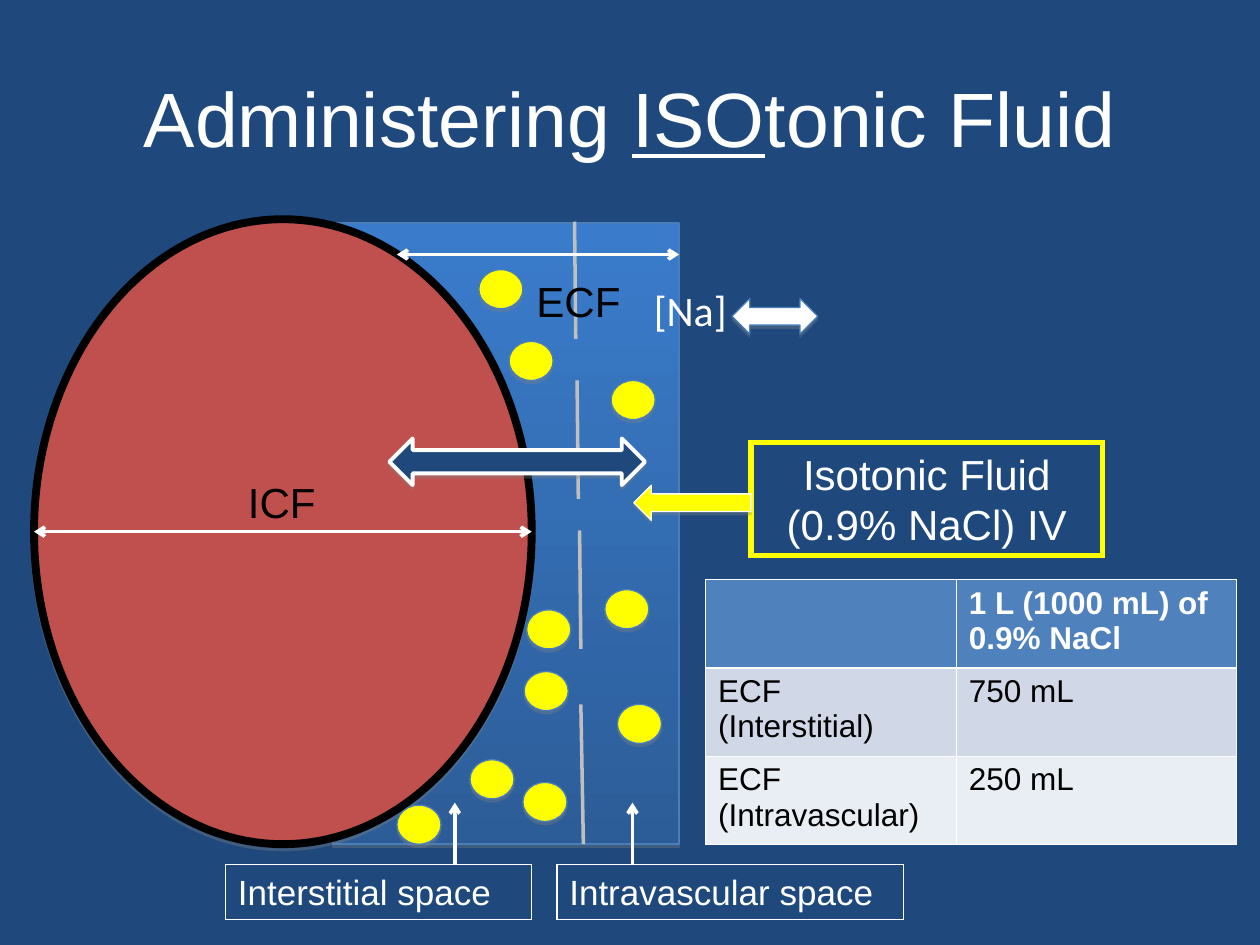
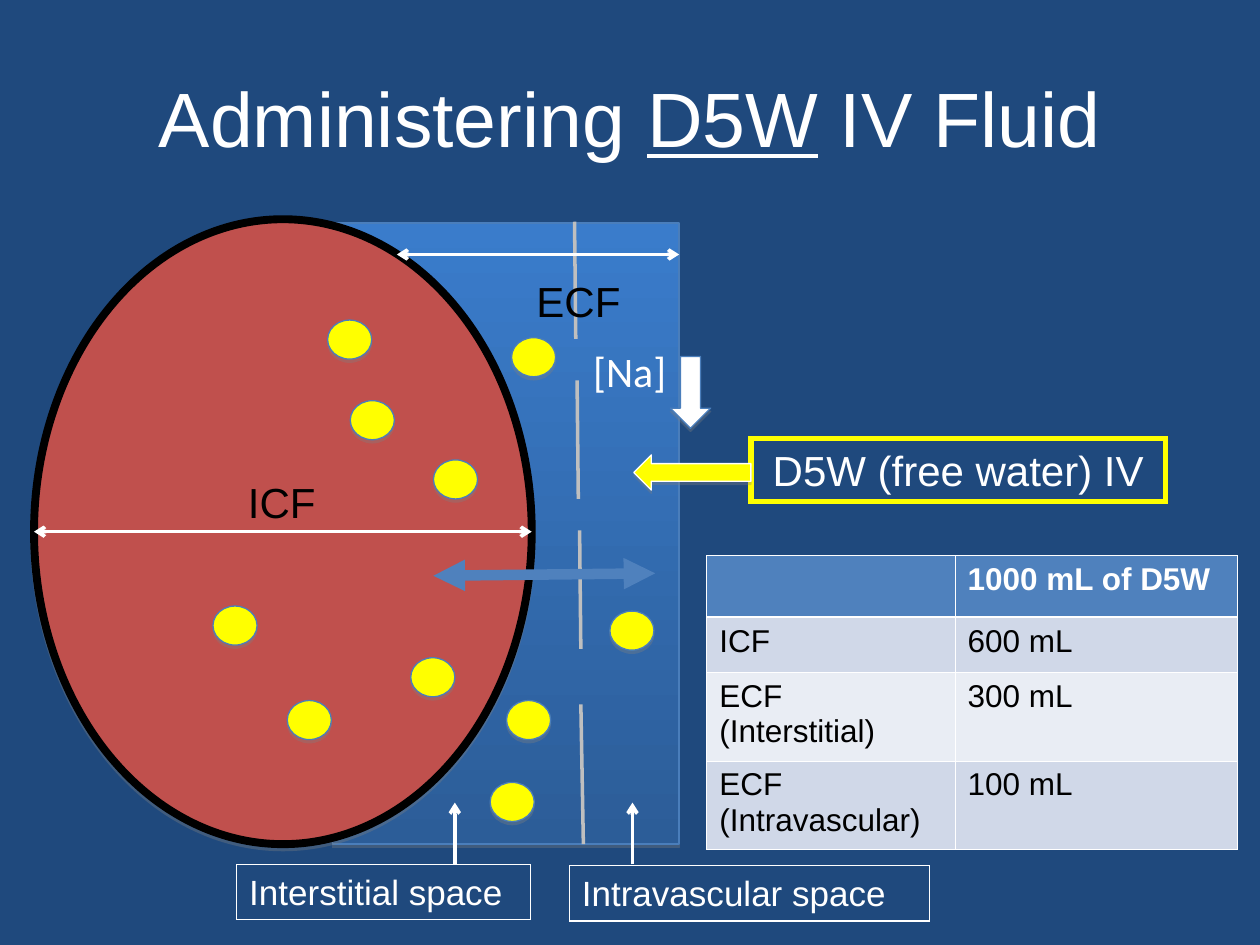
from lxml import etree
from pptx import Presentation
from pptx.dml.color import RGBColor
from pptx.enum import shapes, text
from pptx.oxml import ns
from pptx.util import Inches, Pt

NAVY = RGBColor(0x1F, 0x49, 0x7D)
WHITE = RGBColor(0xFF, 0xFF, 0xFF)
BLACK = RGBColor(0, 0, 0)
RED = RGBColor(0xC0, 0x50, 0x4D)
YELLOW = RGBColor(0xFF, 0xFF, 0)
GRAY = RGBColor(0xBF, 0xBF, 0xBF)
SHADE = RGBColor(0x80, 0x80, 0x80)
EDGE = RGBColor(0x4A, 0x7E, 0xBB)
BLUE = RGBColor(0x4F, 0x81, 0xBD)
TOP = RGBColor(0x3A, 0x7C, 0xCB)
BASE = RGBColor(0x2C, 0x5D, 0x98)
BANDS = RGBColor(0xD0, 0xD8, 0xE8), RGBColor(0xE9, 0xED, 0xF4)
SANS = "Arial"
KIND = shapes.MSO_SHAPE
LEFT, CENTER = text.PP_ALIGN.LEFT, text.PP_ALIGN.CENTER


def inches(*nums):
    return [Inches(n) for n in nums]


def sub(node, tag, **attrs):
    return etree.SubElement(node, ns.qn(tag), attrs)


def style(par, size, color, name=SANS, bold=False, align=LEFT):
    par.alignment = align
    font = par.font
    font.size, font.name, font.bold = Pt(size), name, bold
    font.color.rgb = color


def write(frame, words, size, color, name=SANS, align=LEFT):
    frame.text = words
    frame.word_wrap = True
    frame.vertical_anchor = text.MSO_ANCHOR.TOP
    for par in frame.paragraphs:
        style(par, size, color, name, align=align)


def add_title(slide, parts):
    title = slide.shapes.title
    title.left, title.top, title.width, title.height = inches(0.5, 0.3, 9, 1.25)
    title.text_frame.vertical_anchor = text.MSO_ANCHOR.MIDDLE
    par = title.text_frame.paragraphs[0]
    for i, part in enumerate(parts):
        run = par.add_run()
        run.text = part
        run.font.underline = i == 1
    style(par, 44, WHITE, align=CENTER)


def add_form(slide, kind, box, fill=None, edge=EDGE, width=0.75):
    form = slide.shapes.add_shape(kind, *inches(*box))
    form.line.color.rgb = edge
    form.line.width = Pt(width)
    form.shadow.inherit = False
    if fill is None:
        form.fill.background()
        return form
    form.fill.solid()
    form.fill.fore_color.rgb = fill
    effect = form._element.spPr.find(ns.qn("a:effectLst"))
    shadow = sub(effect, "a:outerShdw", blurRad="0", dist=str(Pt(1.8)),
                 dir="5400000", rotWithShape="0")
    color = sub(shadow, "a:srgbClr", val=str(SHADE))
    sub(color, "a:alpha", val="35000")
    return form


def add_note(slide, box, words, size, edge, width, align=LEFT):
    form = add_form(slide, KIND.RECTANGLE, box, edge=edge, width=width)
    sub(form.line._get_or_add_ln(), "a:miter", lim="800000")
    write(form.text_frame, words, size, WHITE, align=align)


def add_label(slide, box, words, color, name=SANS):
    frame = slide.shapes.add_textbox(*inches(*box)).text_frame
    write(frame, words, 24, color, name)


def add_line(slide, ends, color=WHITE, width=2, head=None, tail=None):
    line = slide.shapes.add_connector(shapes.MSO_CONNECTOR.STRAIGHT, *inches(*ends))
    line.line.color.rgb = color
    line.line.width = Pt(width)
    stroke = line.line._get_or_add_ln()
    for tag, tip in (("a:headEnd", head), ("a:tailEnd", tail)):
        if tip:
            sub(stroke, tag, type=tip)
    sub(line._element.spPr, "a:effectLst")


def add_dots(slide, spots):
    for x, y in spots:
        add_form(slide, KIND.OVAL, (x, y, 0.35, 0.31), YELLOW)


def add_rules(cell, row):
    props = cell._tc.get_or_add_tcPr()
    thick = {(0, "B"), (1, "T")}
    for side in "LRTB":
        width = 1.47 if (row, side) in thick else 0.45
        rule = sub(props, f"a:ln{side}", w=str(Pt(width)))
        sub(sub(rule, "a:solidFill"), "a:srgbClr", val=str(WHITE))


def add_grid(slide, left, top, cols, highs, rows):
    box = inches(left, top, sum(cols), sum(highs))
    grid = slide.shapes.add_table(len(rows), len(cols), *box).table
    for col, width in zip(grid.columns, cols):
        col.width = Inches(width)
    for r, row in enumerate(rows):
        grid.rows[r].height = Inches(highs[r])
        for c, words in enumerate(row):
            cell = grid.cell(r, c)
            add_rules(cell, r)
            cell.fill.solid()
            cell.fill.fore_color.rgb = BANDS[(r - 1) % 2] if r else BLUE
            cell.text = words
            for par in cell.text_frame.paragraphs:
                style(par, 18, BLACK if r else WHITE, bold=r == 0)


def add_cell(slide):
    fluid = add_form(slide, KIND.RECTANGLE, (2.64, 1.77, 2.75, 4.93), TOP)
    fluid.fill.gradient()
    fluid.fill.gradient_angle = 270
    for stop, color in zip(fluid.fill.gradient_stops, (TOP, BASE)):
        stop.color.rgb = color
    add_form(slide, KIND.OVAL, (0.27, 1.74, 3.95, 4.96), RED, BLACK, 4.5)
    add_label(slide, (1.87, 3.73, 0.76, 0.5), "ICF", BLACK)
    for ends in ((4.56, 1.76, 4.57, 2.69), (4.58, 3.02, 4.59, 3.96),
                 (4.6, 4.21, 4.61, 5.15), (4.61, 5.59, 4.63, 6.7)):
        add_line(slide, ends, GRAY)
    add_label(slide, (4.16, 2.14, 0.96, 0.5), "ECF", BLACK)
    for x in (3.61, 5.02):
        add_line(slide, (x, 6.86, x, 6.37), tail="arrow")
    for x, end, y in ((0.27, 4.22, 4.22), (3.15, 5.39, 2.02)):
        add_line(slide, (x, y, end, y), head="arrow", tail="arrow")


def add_spaces(slide, inner, outer):
    add_note(slide, inner, "Interstitial space", 20, WHITE, 0.75)
    add_note(slide, outer, "Intravascular space", 20, WHITE, 0.75)


def add_drip(slide, box, words, top):
    add_note(slide, box, words, 24, YELLOW, 3, CENTER)
    add_form(slide, KIND.LEFT_ARROW, (5.03, top, 0.93, 0.28), YELLOW, WHITE)


def add_base(deck, parts):
    slide = deck.slides.add_slide(deck.slide_layouts[5])
    add_title(slide, parts)
    add_cell(slide)
    return slide


def add_iso(deck):
    slide = add_base(deck, ("Administering ", "ISO", "tonic Fluid"))
    add_spaces(slide, (1.79, 6.86, 2.43, 0.44), (4.42, 6.86, 2.75, 0.44))
    add_drip(slide, (5.96, 3.51, 2.79, 0.9), "Isotonic Fluid\n(0.9% NaCl) IV", 3.85)
    add_dots(slide, [(4.8, 4.68), (3.15, 6.39), (4.9, 5.59), (4.04, 2.71),
                     (3.8, 2.14), (4.16, 5.33), (3.73, 6.03), (4.18, 4.84),
                     (4.15, 6.21), (4.85, 3.02)])
    add_grid(slide, 5.6, 4.6, (1.99, 2.22), (0.7, 0.7, 0.7), [
        ("", "1 L (1000 mL) of\n0.9% NaCl"),
        ("ECF (Interstitial)", "750 mL"),
        ("ECF\n(Intravascular)", "250 mL")])
    add_form(slide, KIND.LEFT_RIGHT_ARROW, (3.09, 3.48, 2.03, 0.37), NAVY, WHITE, 2.25)
    add_label(slide, (5.09, 2.21, 0.95, 0.5), "[Na]", WHITE, "Calibri")
    add_form(slide, KIND.LEFT_RIGHT_ARROW, (5.81, 2.37, 0.68, 0.28), WHITE)


def add_water(deck):
    slide = add_base(deck, ("Administering ", "D5W", " IV Fluid"))
    add_spaces(slide, (1.88, 6.86, 2.33, 0.44), (4.52, 6.87, 2.86, 0.44))
    add_drip(slide, (5.96, 3.48, 3.29, 0.5), "D5W (free water) IV", 3.61)
    add_dots(slide, [(1.69, 4.81), (2.78, 3.18), (3.44, 3.65), (2.6, 2.54),
                     (4.06, 2.68), (3.26, 5.22), (2.28, 5.56), (4.84, 4.85),
                     (4.02, 5.56), (3.89, 6.21)])
    add_grid(slide, 5.61, 4.41, (1.97, 2.24), (0.49, 0.44, 0.7, 0.7), [
        ("", "1000 mL of D5W"),
        ("ICF", "600 mL"),
        ("ECF (Interstitial)", "300 mL"),
        ("ECF\n(Intravascular)", "100 mL")])
    add_label(slide, (4.61, 2.69, 1.12, 0.5), "[Na]", WHITE, "Calibri")
    add_form(slide, KIND.DOWN_ARROW, (5.32, 2.83, 0.32, 0.57), WHITE)
    add_line(slide, (3.44, 4.57, 5.2, 4.55), BLUE, 6, "triangle", "triangle")


def main():
    deck = Presentation()
    deck.slide_width, deck.slide_height = inches(10, 7.5)
    fill = deck.slide_master.background.fill
    fill.solid()
    fill.fore_color.rgb = NAVY
    add_iso(deck)
    add_water(deck)
    deck.save("out.pptx")


if __name__ == "__main__":
    main()
